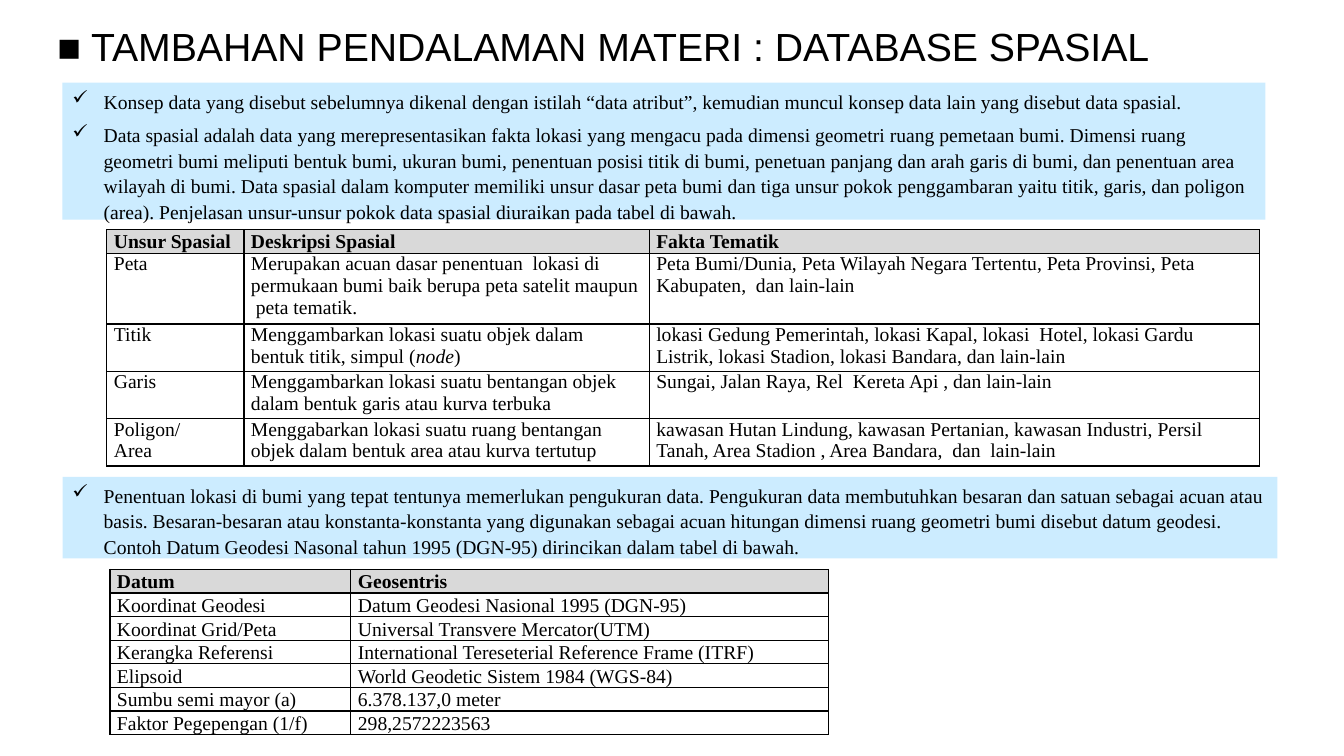
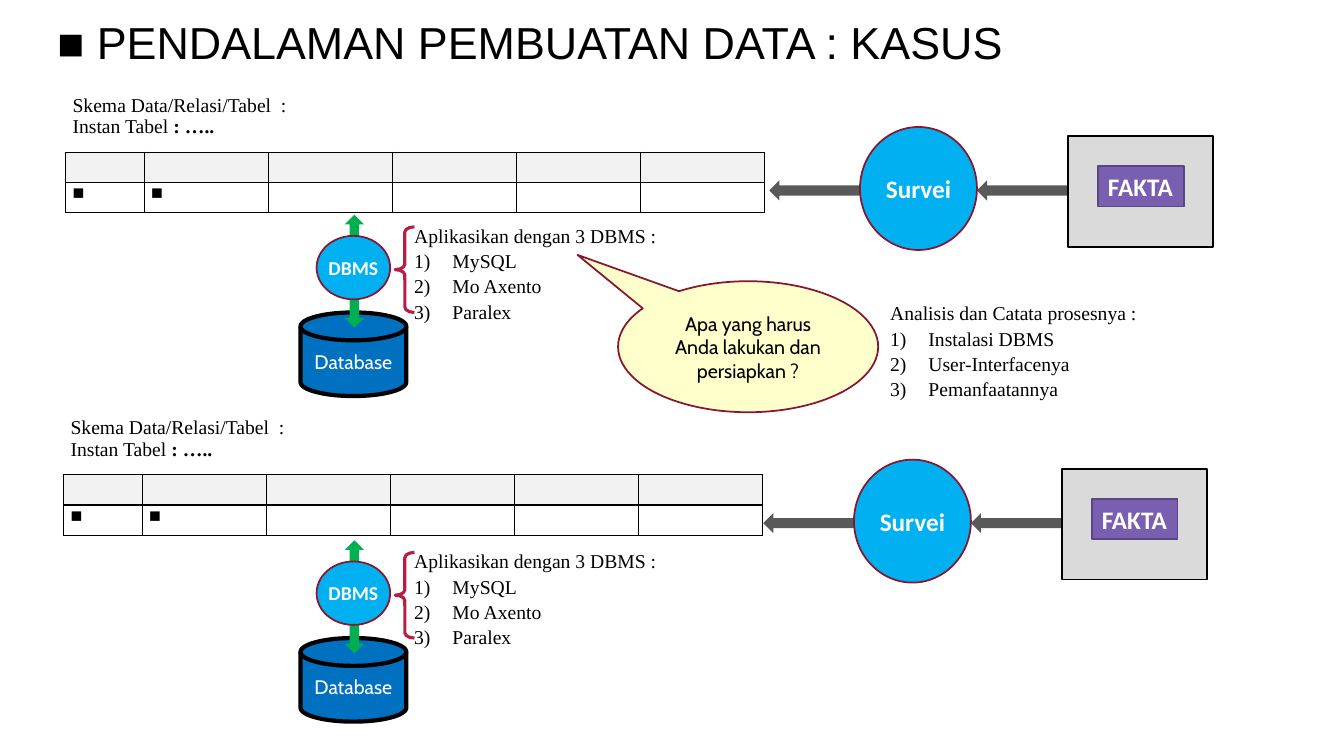
from pptx import Presentation
from pptx.dml.color import RGBColor
from pptx.enum.shapes import MSO_SHAPE
from pptx.enum.text import MSO_ANCHOR, PP_ALIGN
from pptx.oxml.ns import qn
from pptx.util import Inches, Pt
from lxml.etree import SubElement

COLORS = {
    "black": "000000", "white": "FFFFFF", "panel": "CCECFF", "header": "D9D9D9",
    "row": "F2F2F2", "disk": "0070C0", "circle": "00B0F0", "outline": "871631",
    "arrow": "595959", "flow": "00B050", "fact": "DADADA", "label": "795FAF",
    "label_line": "5A4681", "brace": "B71E42", "callout": "FFFFCC",
}
SERIF = {"name": "Times New Roman", "size": Pt(14), "color": "black"}
CABIN = {"name": "Cabin", "size": Pt(14), "color": "white"}
BADGE = {"name": "Calibri", "size": Pt(18), "color": "white", "bold": True}
TITLE = {"name": "Arial", "color": "black"}
INSETS = (0.1, 0.05, 0.1, 0.05)
CELL = (0.07, 0, 0.07, 0)
SIDES = ("L", "R", "T", "B")
CHECK = ("a:buChar", {"char": "✓"}, 0.31)
NUMBER = ("a:buAutoNum", {"type": "arabicParenR"}, 0.38)


def rgb(key):
    return RGBColor.from_string(COLORS[key])


def box(x, y, w, h):
    return [Inches(v) for v in (x, y, w, h)]


def add_bullet(p, bullet):
    tag, attrs, indent = bullet
    pPr = p._p.get_or_add_pPr()
    pPr.set("marL", str(Inches(indent)))
    pPr.set("indent", str(-Inches(indent)))
    SubElement(pPr, qn(tag), attrs)


def write(tf, paras, fmt, bullet=None, first=0, insets=INSETS,
          anchor=MSO_ANCHOR.TOP, **layout):
    tf.word_wrap = True
    tf.vertical_anchor = anchor
    for side, value in zip(("left", "top", "right", "bottom"), insets):
        setattr(tf, f"margin_{side}", Inches(value))
    for i, para in enumerate(paras):
        p = tf.add_paragraph() if i else tf.paragraphs[0]
        for name, value in layout.items():
            setattr(p, name, value)
        if bullet and i >= first:
            add_bullet(p, bullet)
        for text, extra in [(para, {})] if isinstance(para, str) else para:
            r = p.add_run()
            r.text = text
            for name, value in {**fmt, **extra}.items():
                if name == "color":
                    r.font.color.rgb = rgb(value)
                else:
                    setattr(r.font, name, value)


def add_shape(shapes, kind, at, fill=None, line=None, width=1.25, adj=()):
    sp = shapes.add_shape(kind, *box(*at))
    sp.shadow.inherit = False
    if fill:
        sp.fill.solid()
        sp.fill.fore_color.rgb = rgb(fill)
    else:
        sp.fill.background()
    if line:
        sp.line.color.rgb = rgb(line)
        sp.line.width = Pt(width)
    else:
        sp.line.fill.background()
    for i, value in enumerate(adj):
        sp.adjustments[i] = value
    return sp


def add_title(s, text, size):
    sp = s.shapes.add_textbox(*box(0.47, 0.15, 12.3, 0.54))
    write(sp.text_frame, [text], {**TITLE, "size": Pt(size)},
          insets=(0.1, 0.05, 0.1, 0), anchor=MSO_ANCHOR.BOTTOM, line_spacing=0.9)


def add_panel(s, at, paras, gap=0):
    sp = add_shape(s.shapes, MSO_SHAPE.RECTANGLE, at, "panel")
    write(sp.text_frame, paras, SERIF, CHECK, alignment=PP_ALIGN.LEFT,
          line_spacing=1.08, space_after=Pt(gap))


def add_list(s, at, paras):
    sp = s.shapes.add_textbox(*box(*at))
    write(sp.text_frame, paras, SERIF, NUMBER, first=1, line_spacing=1.08)


def add_badge(shapes, at, text, size):
    sp = add_shape(shapes, MSO_SHAPE.OVAL, at, "circle", "outline")
    write(sp.text_frame, [text], {**BADGE, "size": Pt(size)}, insets=(0, 0, 0, 0),
          anchor=MSO_ANCHOR.MIDDLE, alignment=PP_ALIGN.CENTER)


def style_cell(cell, fill, sides=SIDES):
    tcPr = cell._tc.get_or_add_tcPr()
    for side in SIDES:
        ln = SubElement(tcPr, qn(f"a:ln{side}"), w=str(Pt(1)))
        if side in sides:
            solid = SubElement(ln, qn("a:solidFill"))
            SubElement(solid, qn("a:srgbClr"), val=COLORS["black"])
        else:
            SubElement(ln, qn("a:noFill"))
    if fill:
        cell.fill.solid()
        cell.fill.fore_color.rgb = rgb(fill)
    else:
        cell.fill.background()


def make_table(s, x, y, cols, rows):
    table = s.shapes.add_table(len(rows), len(cols),
                               *box(x, y, sum(cols), sum(rows))).table
    table.first_row = table.horz_banding = False
    for col, width in zip(table.columns, cols):
        col.width = Inches(width)
    for row, height in zip(table.rows, rows):
        row.height = Inches(height)
    return table


def write_cell(cell, content, fmt=SERIF, insets=CELL, anchor=MSO_ANCHOR.TOP):
    paras = content if isinstance(content, list) else [content]
    write(cell.text_frame, paras, fmt, insets=insets)
    for side, value in zip(("left", "top", "right", "bottom"), insets):
        setattr(cell, f"margin_{side}", Inches(value))
    cell.vertical_anchor = anchor


def add_data_table(s, x, y, cols, rows, data, head_anchor, body_anchor):
    table = make_table(s, x, y, cols, rows)
    for i, values in enumerate(data):
        for j, content in enumerate(values):
            cell = table.cell(i, j)
            style_cell(cell, None if i else "header")
            write_cell(cell, content, {**SERIF, "bold": i == 0},
                       anchor=body_anchor if i else head_anchor)


def add_schema_table(s, x, y):
    table = make_table(s, x, y, [0.78] + [1.23] * 5, [0.57, 0.3, 0.3])
    for i, fill in enumerate(("white", "row", None)):
        for j in range(6):
            cell = table.cell(i, j)
            style_cell(cell, fill, SIDES if i else ("B",))
            if i:
                write_cell(cell, "■" if i == 2 and j < 2 else "")
    table.cell(0, 0).merge(table.cell(0, 5))
    write_cell(table.cell(0, 0), ["Skema Data/Relasi/Tabel  :",
                                  [("Instan Tabel ", {}), (": …..", {"bold": True})]])


def add_survey(s, x, y):
    for dx in (0, 2.06):
        add_shape(s.shapes, MSO_SHAPE.LEFT_ARROW, (x + dx, y + 0.53, 0.9, 0.2), "arrow")
    add_badge(s.shapes, (x + 0.9, y, 1.16, 1.22), "Survei", 18)
    shapes = s.shapes.add_group_shape().shapes
    add_shape(shapes, MSO_SHAPE.RECTANGLE, (x + 2.96, y + 0.09, 1.44, 1.1), "fact", "black")
    label = add_shape(shapes, MSO_SHAPE.RECTANGLE, (x + 3.26, y + 0.39, 0.85, 0.4),
                      "label", "label_line")
    write(label.text_frame, ["FAKTA"], BADGE, alignment=PP_ALIGN.LEFT)
    label.text_frame.word_wrap = False


def add_dbms(s, x, y):
    disk = add_shape(s.shapes, MSO_SHAPE.FLOWCHART_MAGNETIC_DISK,
                     (x, y + 0.97, 1.05, 0.83), "disk", "black", 3)
    write(disk.text_frame, ["Database"], CABIN, anchor=MSO_ANCHOR.MIDDLE,
          alignment=PP_ALIGN.CENTER)
    add_shape(s.shapes, MSO_SHAPE.UP_DOWN_ARROW, (x + 0.44, y, 0.19, 1.12), "flow")
    add_badge(s.shapes, (x + 0.16, y + 0.21, 0.73, 0.63), "DBMS", 14)
    add_shape(s.shapes, MSO_SHAPE.LEFT_BRACE, (x + 0.94, y + 0.12, 0.19, 0.85),
              line="brace", width=2.25, adj=(0.278, 0.5))
    add_list(s, (x + 1.03, y + 0.02, 2.63, 1.04),
             ["Aplikasikan dengan 3 DBMS :", "MySQL", "Mo Axento", "Paralex"])


def spatial_slide(s):
    add_title(s, "■ TAMBAHAN PENDALAMAN MATERI : DATABASE SPASIAL", 28)
    add_panel(s, (0.62, 0.82, 11.93, 1.36), [
        "Konsep data yang disebut sebelumnya dikenal dengan istilah “data atribut”, kemudian muncul konsep data lain yang disebut data spasial.",
        "Data spasial adalah data yang merepresentasikan fakta lokasi yang mengacu pada dimensi geometri ruang pemetaan bumi. Dimensi ruang geometri bumi meliputi bentuk bumi, ukuran bumi, penentuan posisi titik di bumi, penetuan panjang dan arah garis di bumi, dan penentuan area wilayah di bumi. Data spasial dalam komputer memiliki unsur dasar peta bumi dan tiga unsur pokok penggambaran yaitu titik, garis, dan poligon (area). Penjelasan unsur-unsur pokok data spasial diuraikan pada tabel di bawah.",
    ], gap=6)
    add_data_table(s, 1.06, 2.28, [1.36, 4.02, 6.05], [0.23, 0.7] + [0.47] * 3, [
        ("Unsur Spasial", "Deskripsi Spasial", "Fakta Tematik"),
        ("Peta",
         "Merupakan acuan dasar penentuan  lokasi di permukaan bumi baik berupa peta satelit maupun  peta tematik.",
         "Peta Bumi/Dunia, Peta Wilayah Negara Tertentu, Peta Provinsi, Peta Kabupaten,  dan lain-lain"),
        ("Titik",
         [[("Menggambarkan lokasi suatu objek dalam bentuk titik, simpul (", {}),
           ("node", {"italic": True}), (")", {})]],
         "lokasi Gedung Pemerintah, lokasi Kapal, lokasi  Hotel, lokasi Gardu Listrik, lokasi Stadion, lokasi Bandara, dan lain-lain"),
        ("Garis",
         "Menggambarkan lokasi suatu bentangan objek dalam bentuk garis atau kurva terbuka",
         "Sungai, Jalan Raya, Rel  Kereta Api , dan lain-lain"),
        (["Poligon/", "Area"],
         "Menggabarkan lokasi suatu ruang bentangan objek dalam bentuk area atau kurva tertutup",
         "kawasan Hutan Lindung, kawasan Pertanian, kawasan Industri, Persil  Tanah, Area Stadion , Area Bandara,  dan  lain-lain"),
    ], MSO_ANCHOR.MIDDLE, MSO_ANCHOR.TOP)
    add_panel(s, (0.62, 4.73, 12.05, 0.81), [
        "Penentuan lokasi di bumi yang tepat tentunya memerlukan pengukuran data. Pengukuran data membutuhkan besaran dan satuan sebagai acuan atau basis. Besaran-besaran atau konstanta-konstanta yang digunakan sebagai acuan hitungan dimensi ruang geometri bumi disebut datum geodesi. Contoh Datum Geodesi Nasonal tahun 1995 (DGN-95) dirincikan dalam tabel di bawah.",
    ])
    add_data_table(s, 1.09, 5.65, [2.39, 4.74], [1.63 / 7] * 7, [
        ("Datum", "Geosentris"),
        ("Koordinat Geodesi", "Datum Geodesi Nasional 1995 (DGN-95)"),
        ("Koordinat Grid/Peta", "Universal Transvere Mercator(UTM)"),
        ("Kerangka Referensi", "International Tereseterial Reference Frame (ITRF)"),
        ("Elipsoid", "World Geodetic Sistem 1984 (WGS-84)"),
        ("Sumbu semi mayor (a)", "6.378.137,0 meter"),
        ("Faktor Pegepengan (1/f)", "298,2572223563"),
    ], MSO_ANCHOR.BOTTOM, MSO_ANCHOR.BOTTOM)


def case_slide(s):
    add_title(s, "■ PENDALAMAN PEMBUATAN DATA : KASUS", 32)
    for schema, survey, dbms in (
        ((0.65, 0.94), (7.63, 1.26), (2.98, 2.13)),
        ((0.63, 4.14), (7.57, 4.56), (2.98, 5.36)),
    ):
        add_schema_table(s, *schema)
        add_survey(s, *survey)
        add_dbms(s, *dbms)
    callout = add_shape(s.shapes, MSO_SHAPE.OVAL_CALLOUT, (6.13, 2.79, 2.58, 1.3),
                        "callout", "outline", adj=(-0.656, -0.701))
    write(callout.text_frame, ["Apa yang harus Anda lakukan dan persiapkan ?"],
          {**CABIN, "color": "black"}, anchor=MSO_ANCHOR.MIDDLE,
          alignment=PP_ALIGN.CENTER)
    add_list(s, (8.73, 2.92, 3.59, 1.04),
             ["Analisis dan Catata prosesnya :", "Instalasi DBMS",
              "User-Interfacenya", "Pemanfaatannya"])


def main():
    prs = Presentation()
    prs.slide_width, prs.slide_height = Inches(13.33), Inches(7.5)
    for build in (spatial_slide, case_slide):
        build(prs.slides.add_slide(prs.slide_layouts[6]))
    prs.save("out.pptx")


if __name__ == "__main__":
    main()
